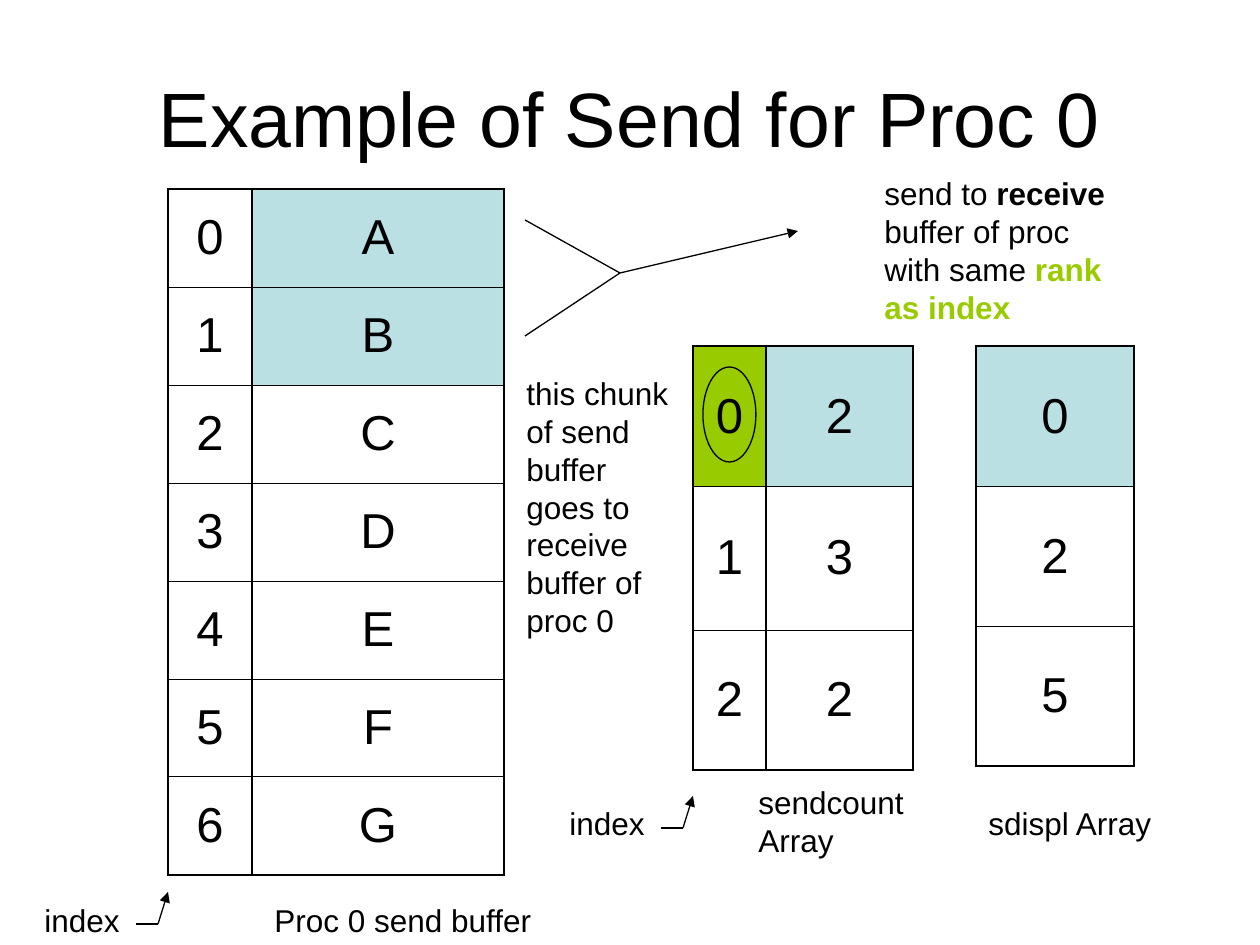
from pptx import Presentation
from pptx.dml.color import RGBColor
from pptx.enum.shapes import MSO_CONNECTOR, MSO_SHAPE
from pptx.enum.text import MSO_ANCHOR, MSO_AUTO_SIZE, PP_ALIGN
from pptx.oxml import parse_xml
from pptx.oxml.ns import nsdecls
from pptx.util import Pt

PX = 914400 // 126  # one px in EMU
BLACK, GREEN, TEAL = "000000", "99CC00", "BBE0E3"
rgb = RGBColor.from_string

prs = Presentation()
prs.slide_width, prs.slide_height = 1260 * PX, 945 * PX
s = prs.slides.add_slide(prs.slide_layouts[6])


def style(r, size, color=BLACK, bold=False):
    r.font.name, r.font.size, r.font.bold = "Arial", Pt(size), bold
    r.font.color.rgb = rgb(color)


def add_label(x, y, w, h, text, size=18):
    tf = s.shapes.add_textbox(x * PX, y * PX, w * PX, h * PX).text_frame
    tf.word_wrap = True
    tf.auto_size = MSO_AUTO_SIZE.SHAPE_TO_FIT_TEXT
    tf.text = text
    style(tf.paragraphs[0].runs[0], size)
    return tf


# Title
tf = add_label(63, 38, 1134, 157, "Example of Send for Proc 0", 44)
tf.auto_size = MSO_AUTO_SIZE.NONE
tf.vertical_anchor = MSO_ANCHOR.MIDDLE
tf.paragraphs[0].alignment = PP_ALIGN.CENTER

# Tables: left, top, column widths, row heights, rows, filled cells
sendcount = [("0", "2"), ("1", "3"), ("2", "2")]
send_buffer = [(str(i), letter) for i, letter in enumerate("ABCDEFG")]
sdispl = [("0",), ("2",), ("5",)]
tables = [
    (693, 346, [73, 147], [140, 144, 140], sendcount, {(0, 0): GREEN, (0, 1): TEAL}),
    (168, 189, [84, 252], [98] * 7, send_buffer, {(0, 1): TEAL, (1, 1): TEAL}),
    (976, 346, [158], [140] * 3, sdispl, {(0, 0): TEAL}),
]
for x, y, widths, heights, rows, fills in tables:
    table = s.shapes.add_table(len(rows), len(widths), x * PX, y * PX,
                               sum(widths) * PX, sum(heights) * PX).table
    table.first_row = table.horz_banding = False
    for col, w in zip(table.columns, widths):
        col.width = w * PX
    for i, (row, h) in enumerate(zip(rows, heights)):
        table.rows[i].height = h * PX
        for j, text in enumerate(row):
            cell = table.cell(i, j)
            cell.text = text
            cell.vertical_anchor = MSO_ANCHOR.MIDDLE
            p = cell.text_frame.paragraphs[0]
            p.alignment, p.space_before = PP_ALIGN.CENTER, Pt(7)
            style(p.runs[0], 28)
            # Thick frame, thin lines between rows
            top = 1.08 if i == 0 else 0.45
            bottom = 1.08 if i == len(rows) - 1 else 0.45
            for side, width in zip("LRTB", (1.08, 1.08, top, bottom)):
                cell._tc.get_or_add_tcPr().append(parse_xml(
                    f'<a:ln{side} {nsdecls("a")} w="{Pt(width)}"><a:solidFill>'
                    f'<a:srgbClr val="{BLACK}"/></a:solidFill></a:ln{side}>'))
            if (i, j) in fills:
                cell.fill.solid()
                cell.fill.fore_color.rgb = rgb(fills[i, j])
            else:
                cell.fill.background()

# Captions and notes
labels = [
    (262, 895, 378, 50, "Proc 0 send buffer"),
    (746, 777, 189, 88, "sendcount Array"),
    (976, 798, 231, 50, "sdispl Array"),
    (514, 368, 168, 277, "this chunk of send buffer goes to receive buffer of proc 0"),
    (32, 895, 116, 50, "index"),
    (557, 798, 116, 50, "index"),
    (872, 168, 252, 164, "send to"),
]
for label in labels:
    tf = add_label(*label)
    tf.paragraphs[0].space_before = Pt(11.2)

# Rest of the last note, with emphasis
for text, color, bold in [(" receive ", BLACK, True),
                          ("buffer of proc with same ", BLACK, False),
                          ("rank as index", GREEN, True)]:
    r = tf.paragraphs[0].add_run()
    r.text = text
    style(r, 18, color, bold)

# Lines: start, end, arrowhead
lines = [
    (620, 273, 525, 336, False),
    (525, 220, 620, 273, False),
    (620, 273, 798, 231, True),
]
for x, y in [(168, 892), (693, 796)]:  # tips of the index pointers
    lines += [(x - 10, y + 32, x, y, True), (x - 10, y + 32, x - 32, y + 32, False)]
for x1, y1, x2, y2, arrow in lines:
    c = s.shapes.add_connector(MSO_CONNECTOR.STRAIGHT, x1 * PX, y1 * PX, x2 * PX, y2 * PX)
    c.line.color.rgb = rgb(BLACK)
    c.line.width = Pt(0.75)
    if arrow:
        c.line._get_or_add_ln().append(parse_xml(f'<a:tailEnd {nsdecls("a")} type="triangle"/>'))
    c._element.spPr.append(parse_xml(f'<a:effectLst {nsdecls("a")}/>'))

# Ring around rank 0
ring = s.shapes.add_shape(MSO_SHAPE.OVAL, 703 * PX, 367 * PX, 53 * PX, 95 * PX)
ring.shadow.inherit = False
ring.fill.background()
ring.line.color.rgb = rgb(BLACK)
ring.line.width = Pt(0.75)

prs.save("out.pptx")
